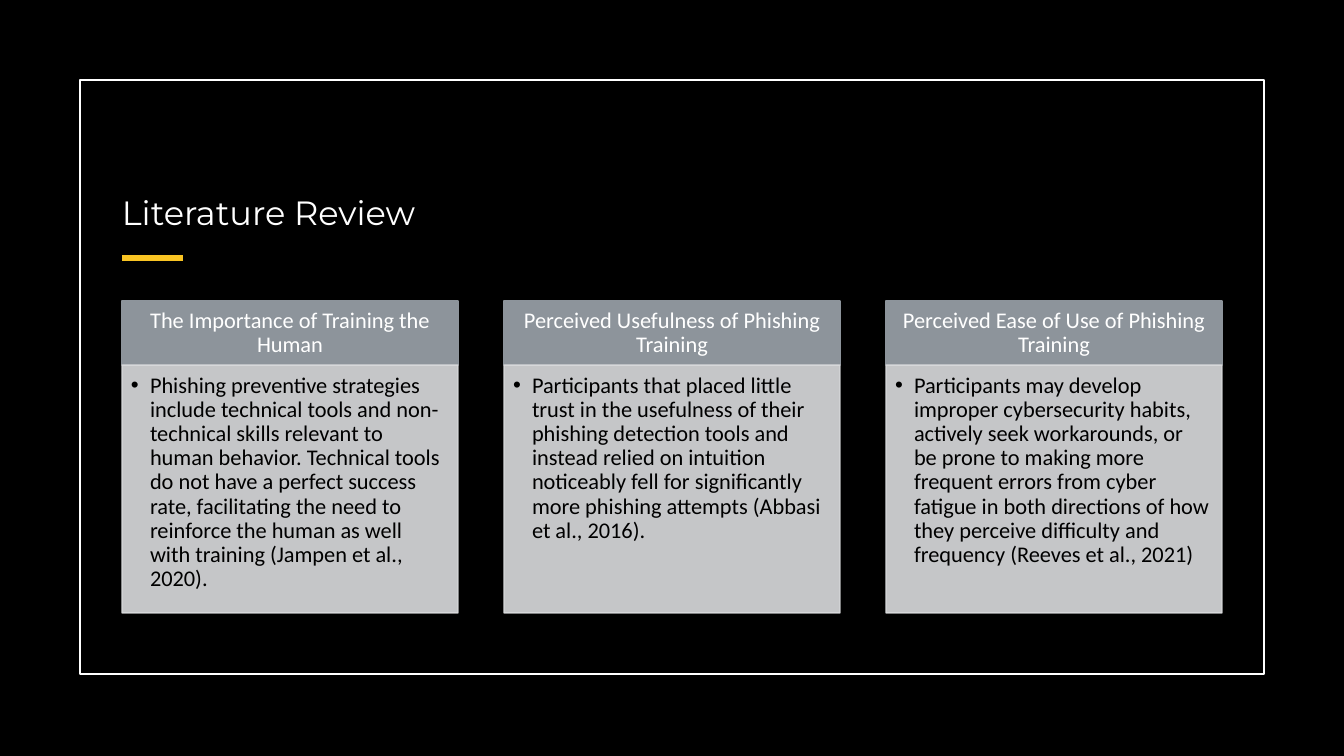
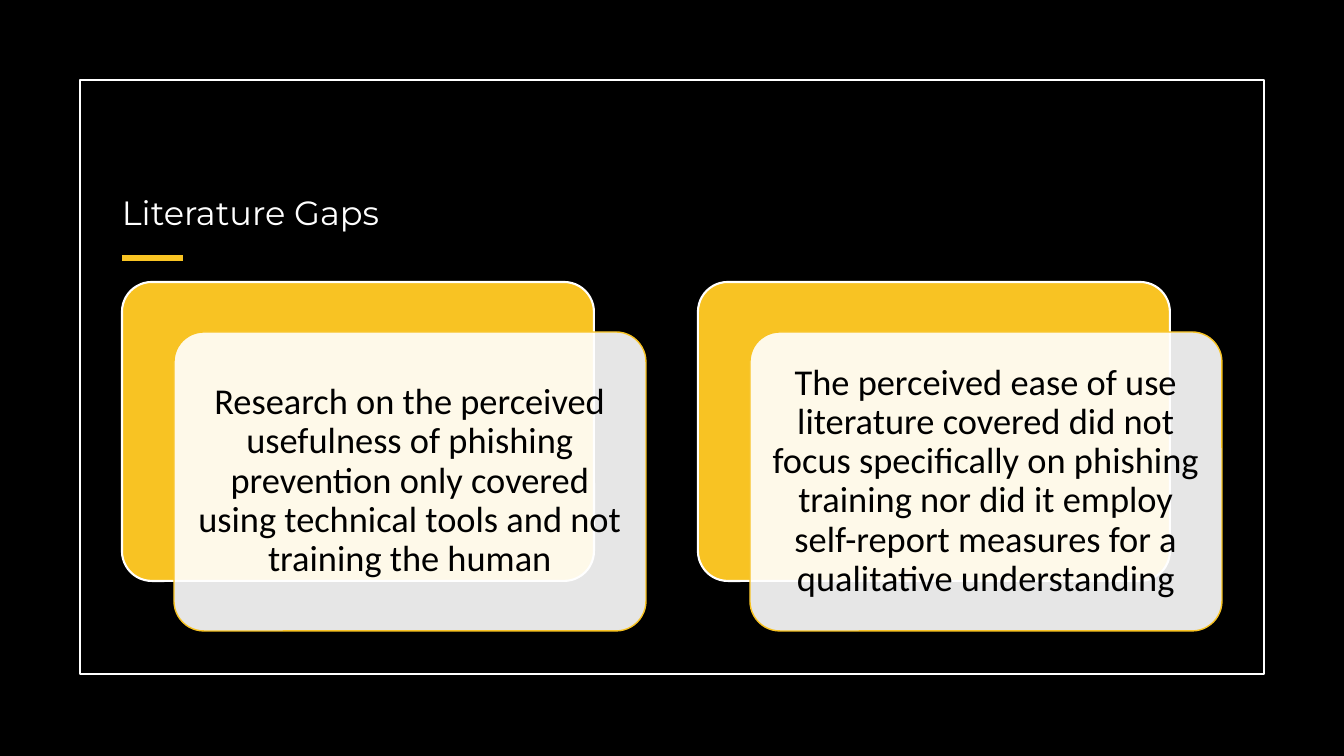
from lxml import etree
from pptx import Presentation
from pptx.dml.color import RGBColor
from pptx.enum.shapes import MSO_CONNECTOR, MSO_SHAPE
from pptx.enum.text import MSO_ANCHOR, PP_ALIGN
from pptx.oxml.ns import qn
from pptx.util import Pt

RECT, ROUND = MSO_SHAPE.RECTANGLE, MSO_SHAPE.ROUNDED_RECTANGLE
STRAIGHT = MSO_CONNECTOR.STRAIGHT
TOP, MIDDLE, BOTTOM = MSO_ANCHOR.TOP, MSO_ANCHOR.MIDDLE, MSO_ANCHOR.BOTTOM
LEFT, CENTER = PP_ALIGN.LEFT, PP_ALIGN.CENTER

EMU_PER_PX = 914400 / 100.8
COLORS = {
    "black": "000000", "white": "FFFFFF", "accent": "F9C423",
    "gold": "F8C323", "slate": "8D949B", "mist": "DBDCDE",
}
TITLE_FONT, BODY_FONT = "Montserrat", "Calibri"

SLIDE_W, SLIDE_H = 1344, 756
FRAME = (80, 80, 1184, 594)
TITLE = (122, 124, 1100, 108)
RULE_Y, RULE_W = 258, 61
REVIEW_BOX = (122, 301, 1100, 312)
GAPS_BOX = (122, 282, 1100, 349)

REVIEW = [
    ("The Importance of Training the Human",
     "Phishing preventive strategies include technical tools and non-technical skills "
     "relevant to human behavior. Technical tools do not have a perfect success rate, "
     "facilitating the need to reinforce the human as well with training "
     "(Jampen et al., 2020)."),
    ("Perceived Usefulness of Phishing Training",
     "Participants that placed little trust in the usefulness of their phishing detection "
     "tools and instead relied on intuition noticeably fell for significantly more "
     "phishing attempts (Abbasi et al., 2016)."),
    ("Perceived Ease of Use of Phishing Training",
     "Participants may develop improper cybersecurity habits, actively seek workarounds, "
     "or be prone to making more frequent errors from cyber fatigue in both directions of "
     "how they perceive difficulty and frequency (Reeves et al., 2021)"),
]
GAPS = [
    "Research on the perceived usefulness of phishing prevention only covered using "
    "technical tools and not training the human",
    "The perceived ease of use literature covered did not focus specifically on phishing "
    "training nor did it employ self-report measures for a qualitative understanding",
]


def px(n):
    return round(n * EMU_PER_PX)


def rgb(name):
    return RGBColor.from_string(COLORS[name])


def set_alpha(fill_parent, percent):
    color = fill_parent.find(qn("a:solidFill"))[0]
    etree.SubElement(color, qn("a:alpha")).set("val", str(percent * 1000))


def add_panel(s, kind, box, fill, line, width, fill_alpha=100, line_alpha=100):
    sp = s.shapes.add_shape(kind, *map(px, box))
    sp.shadow.inherit = False
    if fill:
        sp.fill.solid()
        sp.fill.fore_color.rgb = rgb(fill)
    else:
        sp.fill.background()
    sp.line.color.rgb = rgb(line)
    sp.line.width = Pt(width)
    if fill_alpha < 100:
        set_alpha(sp.element.spPr, fill_alpha)
    if line_alpha < 100:
        set_alpha(sp.element.spPr.find(qn("a:ln")), line_alpha)
    if kind == ROUND:
        sp.adjustments[0] = 0.1
    return sp


def write(sp, text, size, color, insets, anchor, align,
          font=BODY_FONT, spacing=0.9, bullet_indent=0):
    tf = sp.text_frame
    tf.word_wrap = True
    tf.vertical_anchor = anchor
    tf.margin_left, tf.margin_top, tf.margin_right, tf.margin_bottom = map(px, insets)
    tf.text = text
    p = tf.paragraphs[0]
    p.alignment = align
    p.line_spacing = spacing
    if bullet_indent:
        pPr = p._p.get_or_add_pPr()
        pPr.set("marL", str(px(bullet_indent)))
        pPr.set("indent", str(-px(bullet_indent)))
        etree.SubElement(pPr, qn("a:buFont")).set("typeface", "Arial")
        etree.SubElement(pPr, qn("a:buChar")).set("char", "•")
    r = p.runs[0]
    r.font.name = font
    r.font.size = Pt(size)
    r.font.color.rgb = rgb(color)


def add_base_slide(prs, title):
    s = prs.slides.add_slide(prs.slide_layouts[6])
    s.background.fill.solid()
    s.background.fill.fore_color.rgb = rgb("black")
    add_panel(s, RECT, FRAME, None, "white", 1.5)
    x = TITLE[0]
    rule = s.shapes.add_connector(STRAIGHT, px(x), px(RULE_Y), px(x + RULE_W), px(RULE_Y))
    rule.line.color.rgb = rgb("accent")
    rule.line.width = Pt(4)
    etree.SubElement(rule.element.spPr, qn("a:effectLst"))
    write(s.shapes.add_textbox(*map(px, TITLE)), title, 24, "white",
          (0, 0, 0, 0), BOTTOM, LEFT, font=TITLE_FONT, spacing=1.0)
    return s


def columns(box, count, width):
    x, _, w, _ = box
    step = (w - width) / (count - 1)
    return [x + i * step for i in range(count)]


def add_review_cards(s, box, cards):
    _, y, _, h = box
    card_w, head_h = 336, 64
    for x, (heading, body) in zip(columns(box, len(cards), card_w), cards):
        head = add_panel(s, RECT, (x, y, card_w, head_h), "slate", "slate", 1)
        write(head, heading, 16, "white", (12, 7, 12, 7), MIDDLE, CENTER)
        panel = add_panel(s, RECT, (x, y + head_h, card_w, h - head_h),
                          "mist", "mist", 1, fill_alpha=90, line_alpha=90)
        write(panel, body, 16, "black", (9, 9, 12, 14), TOP, LEFT, bullet_indent=19)


def add_gap_cards(s, box, texts):
    _, y, _, h = box
    dx, dy, card_w = 52, 50, 472
    card_h = h - dy
    for x, text in zip(columns(box, len(texts), card_w + dx), texts):
        add_panel(s, ROUND, (x, y, card_w, card_h), "gold", "white", 1.5)
        front = add_panel(s, ROUND, (x + dx, y + dy, card_w, card_h),
                          "white", "gold", 1, fill_alpha=90)
        write(front, text, 26, "black", (11, 11, 11, 11), MIDDLE, CENTER)


def main():
    prs = Presentation()
    prs.slide_width, prs.slide_height = px(SLIDE_W), px(SLIDE_H)
    add_review_cards(add_base_slide(prs, "Literature Review"), REVIEW_BOX, REVIEW)
    add_gap_cards(add_base_slide(prs, "Literature Gaps"), GAPS_BOX, GAPS)
    prs.save("out.pptx")


if __name__ == "__main__":
    main()
